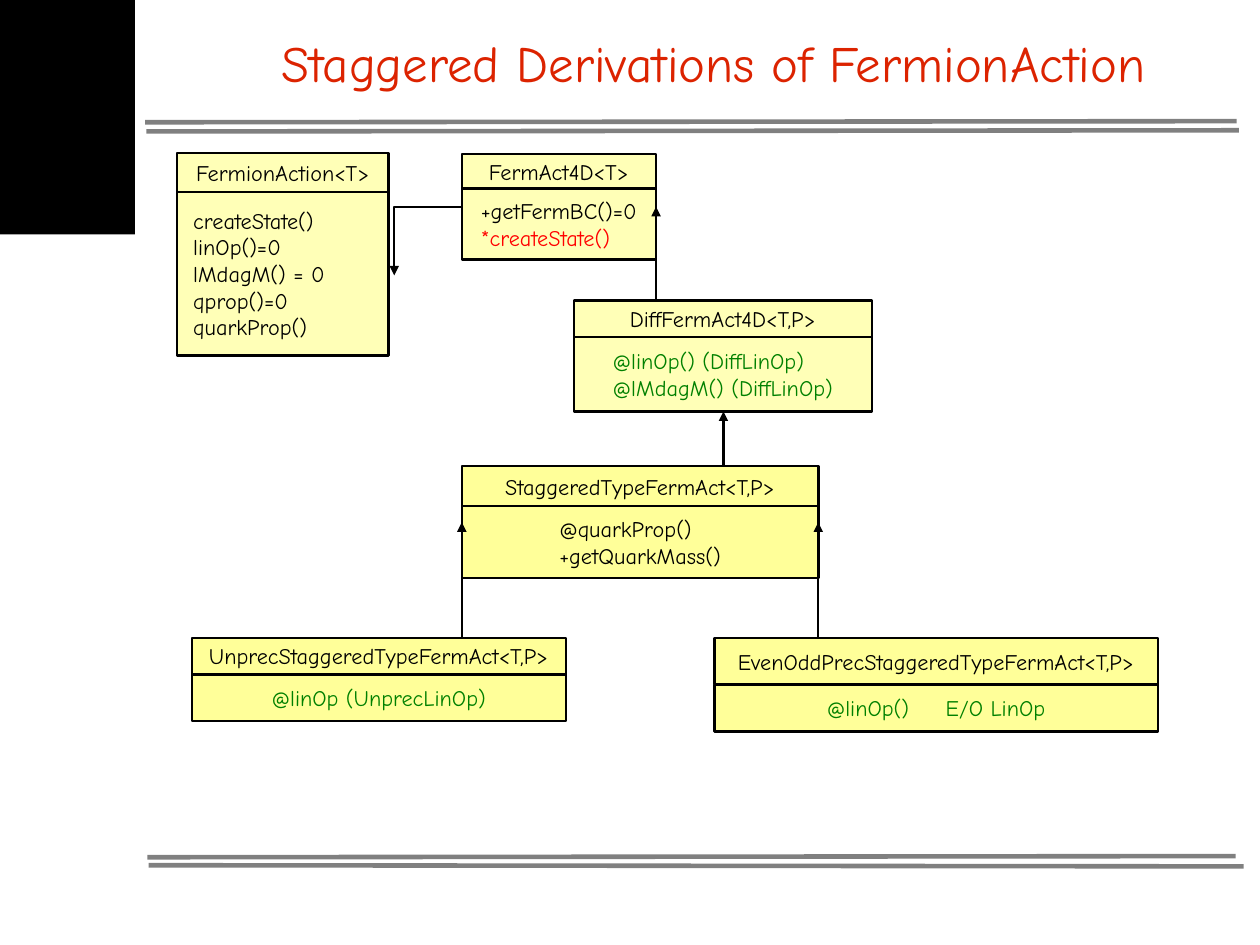
from dataclasses import dataclass
from lxml.etree import SubElement as Sub
from pptx import Presentation
from pptx.dml.color import RGBColor as RGB
from pptx.enum.shapes import MSO_CONNECTOR as Conn, MSO_SHAPE as Geom
from pptx.enum.text import MSO_ANCHOR as Anchor, MSO_AUTO_SIZE as Fit, PP_ALIGN as Align
from pptx.oxml.ns import qn
from pptx.util import Cm, Inches, Pt


@dataclass(frozen=True)
class Theme:
    font: str = "Comic Neue"
    head: int = 32
    body: int = 14
    rule: float = 2.89
    edge: float = 1.45
    black: RGB = RGB(0, 0, 0)
    title: RGB = RGB(0xDC, 0x23, 0x00)
    gray: RGB = RGB(0x80, 0x80, 0x80)
    fill: RGB = RGB(0xFF, 0xFF, 0x99)
    red: RGB = RGB(0xFF, 0, 0)
    green: RGB = RGB(0, 0x80, 0)


T = Theme()

# Class: left, top, width, head height, body height, opacity, name, members
CLASSES = [
    (1.55, 1.34, 1.85, 0.34, 1.43, 70, "FermionAction<T>",
     [("createState()", T.black), ("linOp()=0", T.black), ("lMdagM() = 0", T.black),
      ("qprop()=0", T.black), ("quarkProp()", T.black)]),
    (4.04, 1.35, 1.7, 0.3, 0.62, 70, "FermAct4D<T>",
     [("+getFermBC()=0", T.black), ("*createState()", T.red)]),
    (5.02, 2.63, 2.61, 0.32, 0.65, 70, "DiffFermAct4D<T,P>",
     [("@linOp() (DiffLinOp)", T.green), ("@lMdagM() (DiffLinOp)", T.green)]),
    (1.68, 5.58, 3.27, 0.32, 0.41, 100, "UnprecStaggeredTypeFermAct<T,P>",
     [("@linOp (UnprecLinOp)", T.green)]),
    (6.25, 5.58, 3.88, 0.41, 0.41, 100, "EvenOddPrecStaggeredTypeFermAct<T,P>",
     [("@linOp()\tE/O LinOp", T.green)]),
    (4.04, 4.08, 3.12, 0.35, 0.63, 100, "StaggeredTypeFermAct<T,P>",
     [("@quarkProp()", T.black), ("+getQuarkMass()", T.black)]),
]

# Links run sideways first, then up or down to the parent
LINKS = [
    (3.32, 5.58, 4.04, 4.57),
    (8.19, 5.58, 7.16, 4.57),
    (5.6, 4.08, 6.33, 3.6),
    (6.33, 2.63, 5.74, 1.81),
    (4.04, 1.81, 3.45, 2.41),
]

RULES = [(1.27, 1.07, 10.82, 1.06), (1.28, 1.15, 10.84, 1.14),
         (1.29, 7.5, 10.81, 7.49), (1.3, 7.57, 10.88, 7.58)]


def style(para, size, color):
    para.font.name = T.font
    para.font.size = Pt(size)
    para.font.color.rgb = color


def add_line(slide, kind, ends, color, width):
    line = slide.shapes.add_connector(kind, *map(Inches, ends))
    line.line.color.rgb = color
    line.line.width = Pt(width)
    Sub(line._element.spPr, qn("a:effectLst"))
    return line


def add_frame(slide):
    for ends in RULES:
        add_line(slide, Conn.STRAIGHT, ends, T.gray, T.rule)
    block = slide.shapes.add_shape(Geom.RECTANGLE, 0, 0, Inches(1.18), Inches(2.05))
    block.shadow.inherit = False
    block.fill.solid()
    block.fill.fore_color.rgb = T.black
    block.line.fill.background()


def add_title(slide, box, text):
    title = slide.shapes.title
    title.left, title.top, title.width, title.height = map(Inches, box)
    frame = title.text_frame
    frame.text = text
    frame.auto_size = Fit.NONE
    frame.word_wrap = True
    frame.vertical_anchor = Anchor.MIDDLE
    frame.margin_left = frame.margin_right = frame.margin_top = frame.margin_bottom = 0
    para = frame.paragraphs[0]
    para.alignment = Align.CENTER
    style(para, T.head, T.title)


def add_cell(slide, box, lines, alpha, wrap=False):
    cell = slide.shapes.add_shape(Geom.RECTANGLE, *map(Inches, box))
    cell.shadow.inherit = False
    cell.fill.solid()
    cell.fill.fore_color.rgb = T.fill
    if alpha < 100:
        tint = cell._element.spPr.find(qn("a:solidFill"))[0]
        Sub(tint, qn("a:alpha"), val=str(alpha * 1000))
    cell.line.color.rgb = T.black
    cell.line.width = Pt(T.edge)
    frame = cell.text_frame
    frame.word_wrap = wrap
    frame.vertical_anchor = Anchor.MIDDLE
    frame.margin_left = Inches(0.14 if wrap else 0.11)
    frame.margin_right = Inches(0.11)
    frame.margin_top = frame.margin_bottom = Inches(0.06)
    # Unwrapped text sits as one left-aligned block in the middle of the cell
    if not wrap:
        frame._txBody.bodyPr.set("anchorCtr", "1")
    frame.text = "\n".join(text for text, _ in lines)
    for para, (text, color) in zip(frame.paragraphs, lines):
        para.alignment = Align.LEFT
        if "\t" in text:
            tabs = Sub(para._p.get_or_add_pPr(), qn("a:tabLst"))
            Sub(tabs, qn("a:tab"), pos=str(Inches(1.04)), algn="l")
        style(para, T.body, color)


def add_class(slide, left, top, width, head, body, alpha, name, members):
    add_cell(slide, (left, top, width, head), [(name, T.black)], alpha)
    add_cell(slide, (left, top + head, width, body), members, alpha, len(members) > 2)


def add_link(slide, ends):
    link = add_line(slide, Conn.ELBOW, ends, T.black, T.edge)
    props = link._element.spPr
    props.find(qn("a:prstGeom")).set("prst", "bentConnector2")
    Sub(props.find(qn("a:ln")), qn("a:tailEnd"), type="triangle")


def main():
    deck = Presentation()
    deck.slide_width, deck.slide_height = Cm(28), Cm(21)
    slide = deck.slides.add_slide(deck.slide_layouts[5])
    add_frame(slide)
    add_title(slide, (1.57, 0.11, 9.35, 0.87), "Staggered Derivations of FermionAction")
    # Class boxes, then the arrows over them
    for item in CLASSES:
        add_class(slide, *item)
    for ends in LINKS:
        add_link(slide, ends)
    deck.save("out.pptx")


if __name__ == "__main__":
    main()
